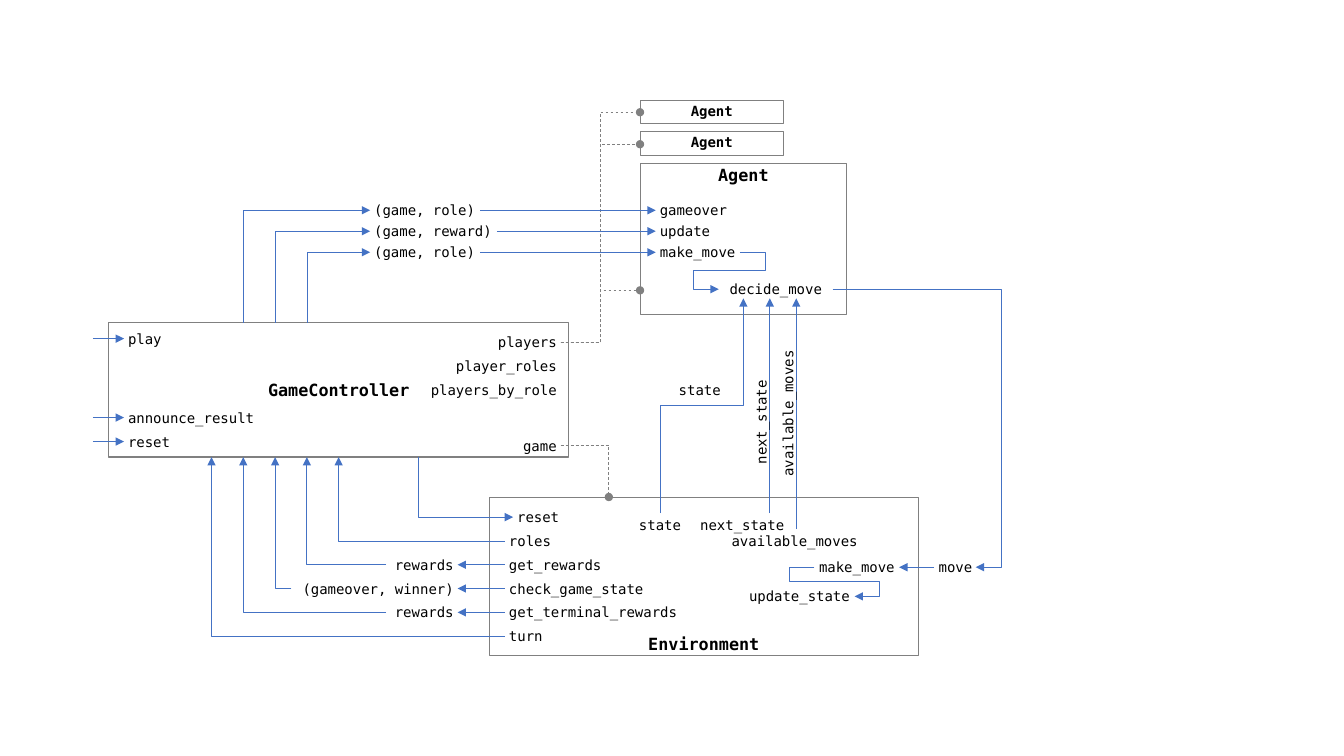
from dataclasses import dataclass

from lxml import etree
from pptx import Presentation
from pptx.dml.color import RGBColor
from pptx.enum import dml, shapes, text
from pptx.oxml import ns
from pptx.slide import Slide
from pptx.util import Pt

BLACK = RGBColor(0, 0, 0)
WHITE = RGBColor(255, 255, 255)
GREY = RGBColor(0x80, 0x80, 0x80)
BLUE = RGBColor(0x44, 0x72, 0xC4)
FONT = "DejaVu Sans Mono"
LEFT, CENTER, RIGHT = text.PP_ALIGN.LEFT, text.PP_ALIGN.CENTER, text.PP_ALIGN.RIGHT
TOP, MIDDLE, BOTTOM = text.MSO_ANCHOR.TOP, text.MSO_ANCHOR.MIDDLE, text.MSO_ANCHOR.BOTTOM
LABEL_HEIGHT = 17


@dataclass
class Box:
    name: str
    left: float
    top: float
    width: float
    height: float
    anchor: text.MSO_ANCHOR = TOP
    size: int = 12


@dataclass
class Label:
    words: str
    left: float
    middle: float
    width: float
    align: text.PP_ALIGN = LEFT
    rotation: int = 0


@dataclass
class Route:
    points: list[tuple[float, float]]
    reference: bool = False


def write(shape, words: str, size: int, align, anchor, bold: bool) -> None:
    frame = shape.text_frame
    frame.text = words
    frame.word_wrap = True
    frame.vertical_anchor = anchor
    frame.margin_left = frame.margin_right = Pt(2.88)
    frame.margin_top = frame.margin_bottom = Pt(1.44)
    paragraph = frame.paragraphs[0]
    paragraph.alignment = align
    font = paragraph.runs[0].font
    font.name, font.size, font.bold = FONT, Pt(size), bold
    font.color.rgb = BLACK


def draw_box(slide: Slide, box: Box) -> None:
    shape = slide.shapes.add_shape(
        shapes.MSO_SHAPE.RECTANGLE, Pt(box.left), Pt(box.top), Pt(box.width), Pt(box.height))
    shape.shadow.inherit = False
    shape.fill.solid()
    shape.fill.fore_color.rgb = WHITE
    shape.line.color.rgb = GREY
    shape.line.width = Pt(0.75)
    write(shape, box.name, box.size, CENTER, box.anchor, True)


def draw_label(slide: Slide, label: Label) -> None:
    shape = slide.shapes.add_textbox(
        Pt(label.left), Pt(label.middle - LABEL_HEIGHT / 2), Pt(label.width), Pt(LABEL_HEIGHT))
    shape.rotation = label.rotation
    write(shape, label.words, 10, label.align, MIDDLE, False)


def draw_route(slide: Slide, route: Route) -> None:
    points = [(Pt(x), Pt(y)) for x, y in route.points]
    if len(points) == 2:
        shape = slide.shapes.add_connector(
            shapes.MSO_CONNECTOR.STRAIGHT, *points[0], *points[1])
    else:
        builder = slide.shapes.build_freeform(*points[0])
        builder.add_line_segments(points[1:], close=False)
        shape = builder.convert_to_shape()
        shape.fill.background()
    shape.line.color.rgb = GREY if route.reference else BLUE
    shape.line.width = Pt(0.5)
    if route.reference:
        shape.line.dash_style = dml.MSO_LINE.DASH
    properties = shape._element.spPr
    outline = properties.find(ns.qn("a:ln"))
    etree.SubElement(outline, ns.qn("a:tailEnd"), type="oval" if route.reference else "triangle")
    etree.SubElement(properties, ns.qn("a:effectLst"))


CONTROLLER_TOP, CONTROLLER_BOTTOM = 230.4, 326.5
AGENT_LEFT = 457.2
METHOD_LEFT = 360.7
RESULT_RIGHT = 326.9
CALL_LEFT, AGENT_METHOD_LEFT = 264.4, 468.4
FIELD_RIGHT = 400.5
ports = [151.1 + 22.7 * index for index in range(5)]
method_rows = [369.4 + 17 * index for index in range(6)]
call_rows = [150.2 + 15 * index for index in range(3)]
field_rows = [244.6 + 17 * index for index in range(3)]

boxes = [
    Box("Agent", AGENT_LEFT, 71.5, 102.5, 17, size=10),
    Box("Agent", AGENT_LEFT, 94, 102.5, 17, size=10),
    Box("GameController", 77.6, CONTROLLER_TOP, 328.8, 96.1, MIDDLE),
    Box("Agent", AGENT_LEFT, 116.6, 147.6, 108),
    Box("Environment", 349.7, 355.2, 306.2, 113, BOTTOM),
]
labels = [
    Label("game", FIELD_RIGHT - 50, 318.3, 50, RIGHT),
    Label("decide_move", 513.4, 206.6, 81.4, CENTER),
    Label("make_move", 581.8, 405.2, 60.5, CENTER),
    Label("move", 667.2, 405.2, 30.6, CENTER),
    Label("update_state", 531.4, 426, 79.2, CENTER),
    Label("state", 451.6, 375.1, 39.6, CENTER),
    Label("state", 480, 278.6, 39.6, CENTER),
    Label("next_state", 491, 375.1, 72, RIGHT),
    Label("available_moves", 519.7, 386.5, 97),
    Label("next_state", 506.2, 301.6, 75, CENTER, 270),
    Label("available_moves", 514.3, 295.3, 97, CENTER, 270),
    Label("reset", 366.5, method_rows[0], 39.6),
]
routes = [
    Route([(400.5, 318.3), (434.9, 318.3), (434.9, 355)], True),
    Route([(528.5, call_rows[2]), (546.5, call_rows[2]), (546.5, 193.2),
           (495.4, 193.2), (495.4, 206.6), (513.4, 206.6)]),
    Route([(594.8, 206.6), (715, 206.6), (715, 405.2), (697, 405.2)]),
    Route([(667.2, 405.2), (642.3, 405.2)]),
    Route([(581.8, 405.2), (563.8, 405.2), (563.8, 415.5),
           (628.5, 415.5), (628.5, 426), (610.5, 426)]),
    Route([(471.5, 366.5), (471.5, 289.8), (531, 289.8), (531, 213.1)]),
    Route([(549.9, 366.5), (549.9, 213.1)]),
    Route([(568.8, 378), (568.8, 213.1)]),
    Route([(298.7, CONTROLLER_BOTTOM), (298.7, method_rows[0]), (366.5, method_rows[0])]),
]

for field, row in zip(("players", "player_roles", "players_by_role"), field_rows):
    labels.append(Label(field, FIELD_RIGHT - 101, row, 101, RIGHT))
for row in (80.2, 103, 207.4):
    routes.append(Route([(400.5, field_rows[0]), (428.8, field_rows[0]),
                         (428.8, row), (AGENT_LEFT, row)], True))

for entry, row in (("play", 241.9), ("announce_result", 298.3), ("reset", 315.4)):
    labels.append(Label(entry, 88.6, row, 97))
    routes.append(Route([(66.4, row), (88.6, row)]))

calls = [("(game, role)", 78.5, "gameover"), ("(game, reward)", 90.5, "update"),
         ("(game, role)", 78.5, "make_move")]
for (arguments, width, method), row, port in zip(calls, call_rows, ports[1:4]):
    labels += [Label(arguments, CALL_LEFT, row, width),
               Label(method, AGENT_METHOD_LEFT, row, 60.5)]
    routes += [Route([(port, CONTROLLER_TOP), (port, row), (CALL_LEFT, row)]),
               Route([(CALL_LEFT + width, row), (AGENT_METHOD_LEFT, row)])]

methods = [("roles", "", 0), ("get_rewards", "rewards", 51),
           ("check_game_state", "(gameover, winner)", 118.8),
           ("get_terminal_rewards", "rewards", 51), ("turn", "", 0)]
for (method, result, width), row, port in zip(methods, method_rows[1:], reversed(ports)):
    labels.append(Label(method, METHOD_LEFT, row, 129.6))
    start = METHOD_LEFT
    if result:
        start = RESULT_RIGHT - width
        labels.append(Label(result, start, row, width, RIGHT))
        routes.append(Route([(METHOD_LEFT, row), (RESULT_RIGHT, row)]))
    routes.append(Route([(start, row), (port, row), (port, CONTROLLER_BOTTOM)]))

presentation = Presentation()
presentation.slide_width, presentation.slide_height = Pt(960), Pt(540)
slide = presentation.slides.add_slide(presentation.slide_layouts[6])
for box in boxes:
    draw_box(slide, box)
for route in routes:
    draw_route(slide, route)
for label in labels:
    draw_label(slide, label)
presentation.save("out.pptx")
